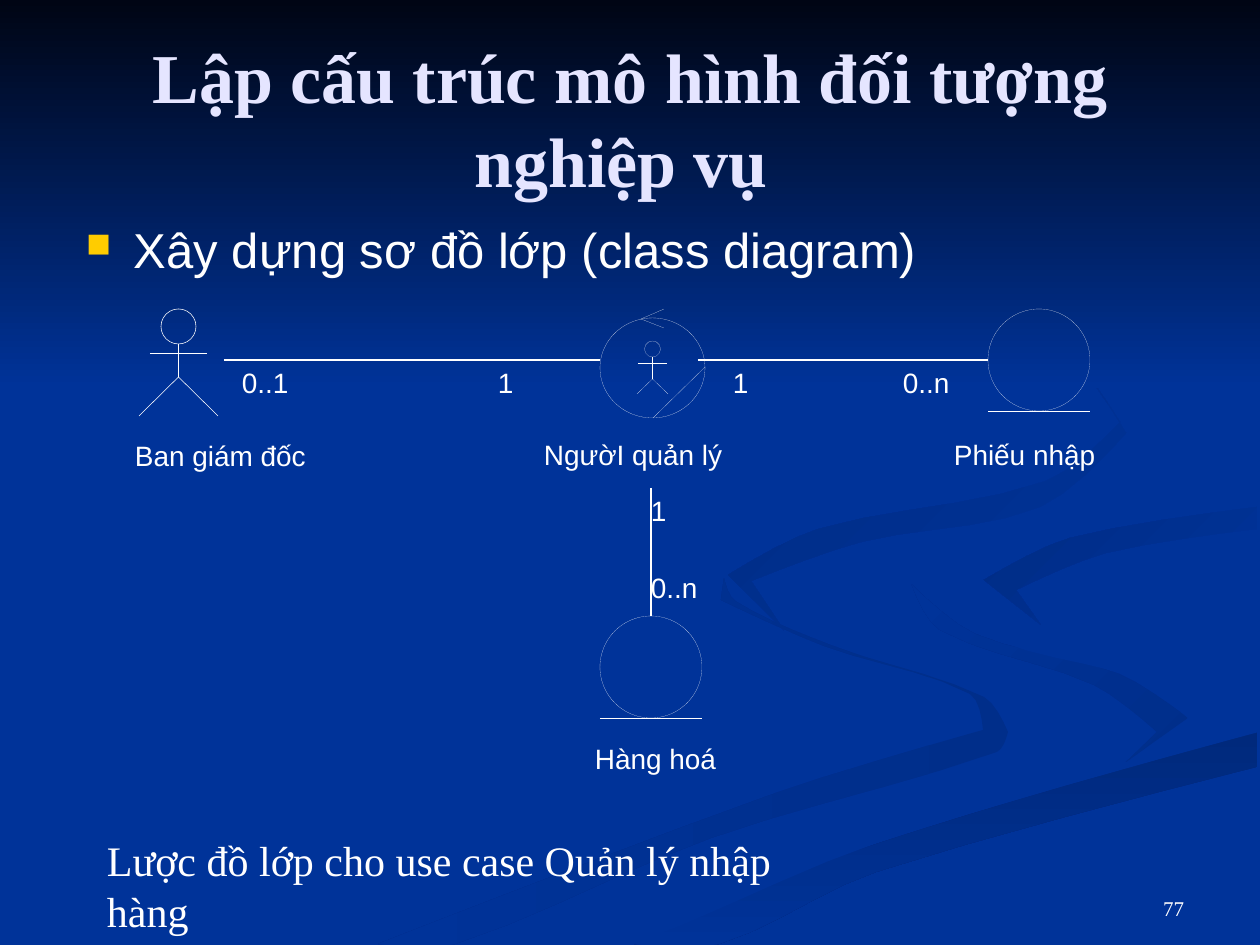
from lxml import etree
from pptx import Presentation
from pptx.dml.color import RGBColor
from pptx.enum.shapes import MSO_CONNECTOR as Link, MSO_SHAPE as Shape
from pptx.enum.text import MSO_ANCHOR as Anchor, PP_ALIGN as Align
from pptx.oxml.ns import qn
from pptx.util import Pt

SCALE = 914400 / 126
STEPS = 5
WHITE, BLUE, NAVY = "FFFFFF", "003399", "002E8A"
THIN, FINE, BOLD = 0.06, 0.31, 0.75
TITLE = {"name": "Times New Roman", "size": Pt(40), "bold": True}
BODY = {"name": "Arial", "size": Pt(28)}
NOTE = {"name": "Times New Roman", "size": Pt(24)}
LABEL = {"name": "Arial", "size": Pt(16)}
PAGE = {"name": "Times New Roman", "size": Pt(12)}

RIBBONS = [
    (NAVY, BLUE, 180, [
        (984, 697), (833, 646), (735, 601), (724, 578), (721, 600), (824, 646), (970, 694),
        (983, 730), (776, 793), (378, 944), (455, 944), (711, 838), (997, 752), (1008, 732)]),
    (NAVY, BLUE, 225, [
        (1188, 718), (1119, 674), (975, 634), (912, 585), (940, 630), (1094, 685),
        (1157, 732), (1126, 762)]),
    ("00297C", BLUE, 90, [
        (634, 944), (719, 944), (876, 872), (1257, 767), (1257, 732), (1004, 804), (794, 873)]),
    (BLUE, BLUE, 0, [
        (914, 585), (999, 641), (1140, 680), (1188, 718), (1137, 760), (835, 842), (601, 944),
        (634, 944), (877, 843), (1259, 732), (1259, 678), (1029, 620), (985, 580), (1071, 538),
        (1259, 507), (1259, 488), (993, 532)]),
    (BLUE, "002C85", 225, [
        (984, 580), (1041, 625), (1016, 590), (1106, 553), (1257, 529), (1257, 507), (1070, 538)]),
    (BLUE, "002B81", 225, [
        (861, 542), (1040, 507), (1126, 433), (1062, 347), (960, 294), (1066, 352), (1120, 422),
        (1046, 481), (818, 529), (728, 575), (784, 630), (751, 581)]),
]


def px(*nums):
    """Turn px lengths into a list of EMU."""
    return [round(n * SCALE) for n in nums]


def rgb(code):
    """Turn a hex string into a colour."""
    return RGBColor.from_string(code)


def ink(line, width):
    """Give a line its white ink and width in points."""
    line.color.rgb = rgb(WHITE)
    line.width = Pt(width)


def slope(last, dot, after):
    """Return the unit direction at a point, or zero at a sharp corner."""
    come, go = dot - last, after - dot
    turn = (come * go.conjugate()).real / abs(come) / abs(go)
    return (after - last) / abs(after - last) if turn > 0.5 else 0


def smooth(dots):
    """Round a closed outline with Hermite curves."""
    dots = [complex(*dot) for dot in dots]
    count = len(dots)
    ways = [slope(dots[i - 1], dots[i], dots[(i + 1) % count]) for i in range(count)]
    curve = []
    for i, a in enumerate(dots):
        j = (i + 1) % count
        b = dots[j]
        size = abs(b - a)
        for t in (step / STEPS for step in range(STEPS)):
            rise = t * t * (3 - 2 * t)
            pull = t * (1 - t) * (ways[i] * (1 - t) - ways[j] * t)
            dot = a + (b - a) * rise + size * pull
            curve.append((dot.real, dot.imag))
    return curve


def poly(slide, dots, close=True):
    """Draw an outline through px points."""
    dots = [px(*dot) for dot in dots]
    pen = slide.shapes.build_freeform(*dots[0], scale=1.0)
    pen.add_line_segments(dots[1:], close=close)
    shape = pen.convert_to_shape()
    shape.shadow.inherit = False
    return shape


def shade(shape, start, stop, angle):
    """Fill a shape with a colour or a gradient, without a line."""
    shape.line.fill.background()
    if start == stop:
        shape.fill.solid()
        shape.fill.fore_color.rgb = rgb(start)
        return
    shape.fill.gradient()
    shape.fill.gradient_angle = (360 - angle) % 360
    for stage, code in zip(shape.fill.gradient_stops, (start, stop)):
        stage.color.rgb = rgb(code)


def backdrop(slide, wide, high):
    """Paint the ribbons and the dark band at the top."""
    slide.background.fill.solid()
    slide.background.fill.fore_color.rgb = rgb(BLUE)
    for start, stop, angle, dots in RIBBONS:
        shade(poly(slide, smooth(dots)), start, stop, angle)
    band = slide.shapes.add_shape(Shape.RECTANGLE, *px(0, 0, wide, high))
    band.shadow.inherit = False
    shade(band, "000514", BLUE, 90)


def rule(slide, x1, y1, x2, y2, width):
    """Draw a straight white line."""
    link = slide.shapes.add_connector(Link.STRAIGHT, *px(x1, y1, x2, y2))
    ink(link.line, width)
    etree.SubElement(link._element.spPr, qn("a:effectLst"))


def ring(slide, x, y, w, h, width):
    """Draw an unfilled ellipse."""
    shape = slide.shapes.add_shape(Shape.OVAL, *px(x, y, w, h))
    shape.shadow.inherit = False
    shape.fill.background()
    ink(shape.line, width)


def text(slide, box, words, style, pad=(13, 6), wrap=True, color=WHITE,
         align=Align.LEFT, anchor=Anchor.TOP, bullet=None):
    """Place one paragraph in a px box."""
    frame = slide.shapes.add_textbox(*px(*box)).text_frame
    side, edge = px(*pad)
    look = {"margin_left": side, "margin_right": side, "margin_top": edge,
            "margin_bottom": edge, "word_wrap": wrap, "vertical_anchor": anchor}
    for key, value in look.items():
        setattr(frame, key, value)
    para = frame.paragraphs[0]
    para.text = words
    para.alignment = align
    if bullet:
        mark(para, bullet)
    for key, value in style.items():
        setattr(para.font, key, value)
    para.font.color.rgb = rgb(color)


def mark(para, color):
    """Add a square bullet with a hanging indent."""
    props = para._p.get_or_add_pPr()
    gap = px(48)[0]
    props.set("marL", str(gap))
    props.set("indent", str(-gap))
    tint = etree.SubElement(props, qn("a:buClr"))
    etree.SubElement(tint, qn("a:srgbClr"), val=color)
    etree.SubElement(props, qn("a:buSzPct"), val="70000")
    etree.SubElement(props, qn("a:buChar"), char="■")


def actor(slide, x, y, w, h, head, arm, waist, width):
    """Draw a stick figure in its box."""
    mid, reach = x + w / 2, y + round(h * 0.41)
    ring(slide, mid - head / 2, y, head, head, width)
    rule(slide, mid, y + head, mid, y + waist, width)
    rule(slide, mid - arm / 2, reach, mid + arm / 2, reach, width)
    legs = poly(slide, [(x, y + h), (mid, y + waist), (x + w, y + h)], close=False)
    legs.fill.background()
    ink(legs.line, width)


def worker(slide, x, y, w, h):
    """Draw the business worker symbol in its box."""
    ring(slide, x, y + 9, w, h - 9, THIN)
    rule(slide, x + w, y + 58, x + 53, y + h, THIN)
    for tip in (0, 19):
        rule(slide, x + 64, y + tip, x + 41, y + 10, THIN)
    actor(slide, x + 37, y + 32, 31, 53, 16, 29, 38, THIN)


def entity(slide, x, y, size):
    """Draw the business entity symbol in its box."""
    ring(slide, x, y, size, size, THIN)
    rule(slide, x, y + size, x + size, y + size, THIN)


def diagram(slide, x, y):
    """Draw the class diagram from its top left corner."""
    hub, far, low, mid, top = x + 465, x + 853, y + 307, y + 51, y + 179
    stem = hub + 51
    actor(slide, x + 4, y, 79, 107, 35, 57, 68, FINE)
    worker(slide, hub, y, 105, 109)
    entity(slide, hub, low, 102)
    entity(slide, far, y, 102)
    rule(slide, x + 89, mid, hub, mid, BOLD)
    rule(slide, stem, top, stem, low, BOLD)
    rule(slide, hub + 98, mid, far, mid, BOLD)
    names = [(x, y + 130, 174, "Ban giám đốc", False), (x + 409, y + 129, 203, "NgườI quản lý", True),
             (x + 460, y + 433, 123, "Hàng hoá", False), (x + 819, y + 129, 200, "Phiếu nhập", True)]
    for left, head, wide, words, wrap in names:
        text(slide, (left, head, wide, 52), words, LABEL, (0, 0), wrap)
    counts = [(x + 107, mid, "0..1"), (x + 363, mid, "1"), (x + 598, mid, "1"),
              (x + 768, mid, "0..n"), (stem, top, "1"), (stem, low - 51, "0..n")]
    for left, head, words in counts:
        text(slide, (left, head, 86, 52), words, LABEL, (0, 6))


def main():
    """Build and save the slide."""
    deck = Presentation()
    deck.slide_width, deck.slide_height = px(1260, 945)
    slide = deck.slides.add_slide(deck.slide_layouts[6])
    backdrop(slide, 1260, 388)
    text(slide, (63, 38, 1134, 158), "Lập cấu trúc mô hình đối tượng nghiệp vụ ", TITLE,
         color="E5E5FF", align=Align.CENTER, anchor=Anchor.MIDDLE)
    text(slide, (73, 214, 1134, 630), "Xây dựng sơ đồ lớp (class diagram)", BODY, bullet="FFCC00")
    text(slide, (94, 829, 781, 63), "Lược đồ lớp cho use case Quản lý nhập hàng", NOTE, wrap=False)
    diagram(slide, 135, 309)
    text(slide, (903, 861, 294, 66), "77", PAGE, align=Align.RIGHT, anchor=Anchor.BOTTOM)
    deck.save("out.pptx")


if __name__ == "__main__":
    main()
